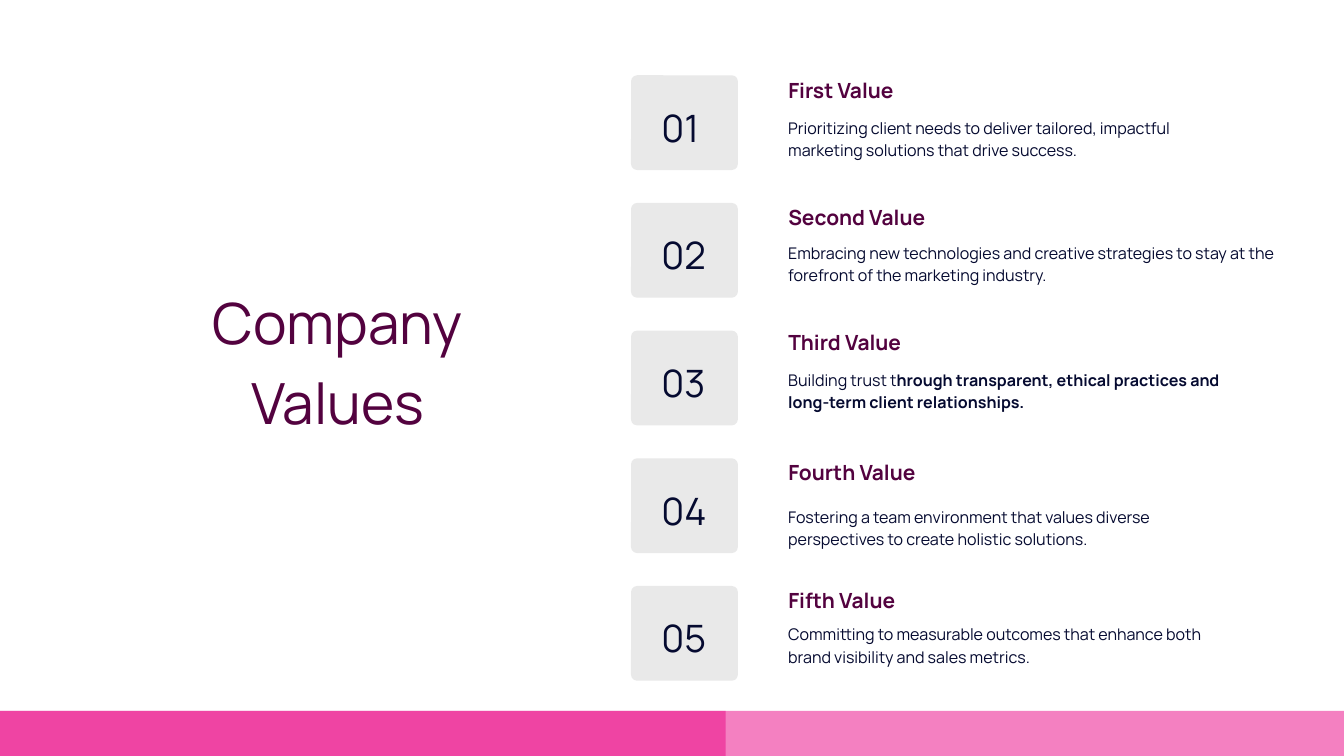
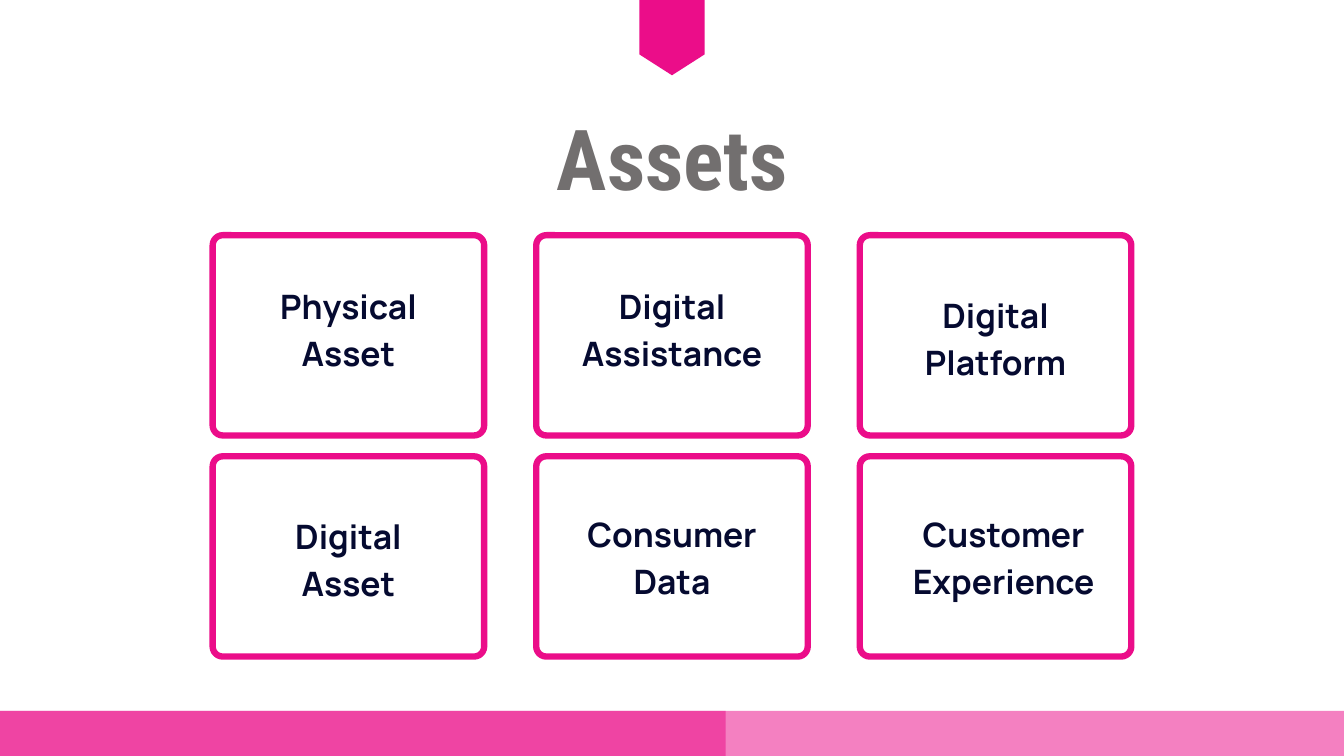
from lxml import etree
from pptx import Presentation
from pptx.dml.color import RGBColor
from pptx.enum.shapes import MSO_SHAPE
from pptx.enum.text import PP_ALIGN
from pptx.oxml.ns import qn
from pptx.util import Inches, Pt

LEFT, CENTER = PP_ALIGN.LEFT, PP_ALIGN.CENTER
RECTANGLE, ROUNDED = MSO_SHAPE.RECTANGLE, MSO_SHAPE.ROUNDED_RECTANGLE

COLORS = {"plum": "53023F", "navy": "050A30", "pink": "EB0D89", "card": "E9E9E9", "gray": "726F6F"}
BODY_FONT, HEADING_FONT = "Manrope", "Roboto Condensed"
WIDTH, HEIGHT = 20, 11.25
BAND_TOP, BAND_SHARE, BAND_OPACITY = 10.58, 0.54, 52

# font, size, line spacing, color, bold, alignment
STYLES = {
    "slide_title": (BODY_FONT, 60.8, 85.1, "plum", False, CENTER),
    "number": (BODY_FONT, 40.4, 56.6, "navy", False, LEFT),
    "value_name": (BODY_FONT, 22.4, 31.3, "plum", True, LEFT),
    "value_text": (BODY_FONT, 17.2, 24.1, "navy", False, LEFT),
    "assets_title": (HEADING_FONT, 90.1, 126.2, "gray", True, CENTER),
    "asset": (BODY_FONT, 36, 50.4, "navy", True, CENTER),
}

# name, plain text, bold text, name top, text top, text width
VALUES = [
    ("First Value", "Prioritizing client needs to deliver tailored, impactful marketing solutions "
     "that drive success.", "", 1.09, 1.71, 6.83),
    ("Second Value", "Embracing new technologies and creative strategies to stay at the forefront "
     "of the marketing industry.", "", 2.99, 3.57, 7.33),
    ("Third Value", "Building trust t", "hrough transparent, ethical practices and long-term "
     "client relationships.", 4.84, 5.46, 6.7),
    ("Fourth Value", "Fostering a team environment that values diverse perspectives to create "
     "holistic solutions.", "", 6.78, 7.5, 6.7),
    ("Fifth Value", "Committing to measurable outcomes that enhance both brand visibility and "
     "sales metrics.", "", 8.68, 9.25, 6.7),
]
VALUE_CARD = {"left": 9.39, "top": 1.12, "width": 1.59, "height": 1.41, "pitch": 1.9}
VALUE_TEXT_LEFT = 11.73

# label, horizontal nudge, label top
ASSETS = [
    [("Physical Asset", 0, 4.16), ("Digital Assistance", 0, 4.16), ("Digital Platform", 0, 4.29)],
    [("Digital Asset", 0, 7.58), ("Consumer Data", 0, 7.55), ("Customer Experience", 0.12, 7.55)],
]
FRAME = {"width": 4.04, "height": 2.98, "top": 3.5, "column": 4.815, "row": 3.29, "line": 6.8}
ASSET_LABEL_WIDTH, ASSET_LABEL_HEIGHT = 3.05, 1.35
TAG_WIDTH, TAG_SHOULDER, TAG_TIP = 0.97, 0.81, 1.12


def rgb(name):
    return RGBColor.from_string(COLORS[name])


def add_block(slide, kind, left, top, width, height, fill=None, radius=None):
    shape = slide.shapes.add_shape(kind, Inches(left), Inches(top), Inches(width), Inches(height))
    shape.shadow.inherit = False
    shape.line.fill.background()
    if fill:
        shape.fill.solid()
        shape.fill.fore_color.rgb = rgb(fill)
    else:
        shape.fill.background()
    if radius:
        shape.adjustments[0] = radius / min(width, height)
    return shape


def add_text(slide, style, left, top, width, height, *paragraphs):
    font_name, size, spacing, color, bold, alignment = STYLES[style]
    frame = slide.shapes.add_textbox(Inches(left), Inches(top), Inches(width), Inches(height)).text_frame
    frame.word_wrap = True
    frame.margin_left = frame.margin_right = frame.margin_top = frame.margin_bottom = 0
    for index, text in enumerate(paragraphs):
        paragraph = frame.add_paragraph() if index else frame.paragraphs[0]
        paragraph.add_run().text = text
        paragraph.alignment = alignment
        paragraph.line_spacing = Pt(spacing)
        paragraph.font.name = font_name
        paragraph.font.size = Pt(size)
        paragraph.font.bold = bold
        paragraph.font.color.rgb = rgb(color)
    return frame


def add_slide(presentation):
    slide = presentation.slides.add_slide(presentation.slide_layouts[6])
    for share in (1, BAND_SHARE):
        band = add_block(slide, RECTANGLE, 0, BAND_TOP, WIDTH * share, HEIGHT - BAND_TOP, "pink")
        color = band._element.spPr.find(qn("a:solidFill"))[0]
        etree.SubElement(color, qn("a:alpha")).set("val", str(BAND_OPACITY * 1000))
    return slide


def build_values(presentation):
    slide = add_slide(presentation)
    add_text(slide, "slide_title", 1.7, 4.12, 6.65, 2.32, "Company", "Values")
    card = VALUE_CARD
    for index, (name, text, bold_text, name_top, text_top, text_width) in enumerate(VALUES):
        top = card["top"] + index * card["pitch"]
        add_block(slide, ROUNDED, card["left"], top, card["width"], card["height"], "card", 0.09)
        add_text(slide, "number", card["left"] + 0.45, top + 0.32, 1.52, 0.72, f"{index + 1:02}")
        add_text(slide, "value_name", VALUE_TEXT_LEFT, name_top, 3.61, 0.41, name)
        frame = add_text(slide, "value_text", VALUE_TEXT_LEFT, text_top, text_width, 0.64, text)
        if bold_text:
            run = frame.paragraphs[0].add_run()
            run.text = bold_text
            run.font.bold = True


def build_assets(presentation):
    slide = add_slide(presentation)
    center = WIDTH / 2
    left, right = center - TAG_WIDTH / 2, center + TAG_WIDTH / 2
    builder = slide.shapes.build_freeform(Inches(left), 0, scale=1.0)
    corners = [(left, TAG_SHOULDER), (center, TAG_TIP), (right, TAG_SHOULDER), (right, 0)]
    builder.add_line_segments([(Inches(x), Inches(y)) for x, y in corners], close=True)
    tag = builder.convert_to_shape()
    tag.shadow.inherit = False
    tag.fill.solid()
    tag.fill.fore_color.rgb = rgb("pink")
    tag.line.fill.background()

    add_text(slide, "assets_title", 8.25, 1.33, 3.51, 1.71, "Assets")
    for row, assets in enumerate(ASSETS):
        for column, (label, nudge, label_top) in enumerate(assets):
            middle = center + (column - 1) * FRAME["column"]
            frame = add_block(slide, ROUNDED, middle - FRAME["width"] / 2, FRAME["top"] + row * FRAME["row"],
                              FRAME["width"], FRAME["height"], radius=0.15)
            frame.line.color.rgb = rgb("pink")
            frame.line.width = Pt(FRAME["line"])
            add_text(slide, "asset", middle + nudge - ASSET_LABEL_WIDTH / 2, label_top,
                     ASSET_LABEL_WIDTH, ASSET_LABEL_HEIGHT, label)


def main():
    presentation = Presentation()
    presentation.slide_width, presentation.slide_height = Inches(WIDTH), Inches(HEIGHT)
    build_values(presentation)
    build_assets(presentation)
    presentation.save("out.pptx")


if __name__ == "__main__":
    main()
